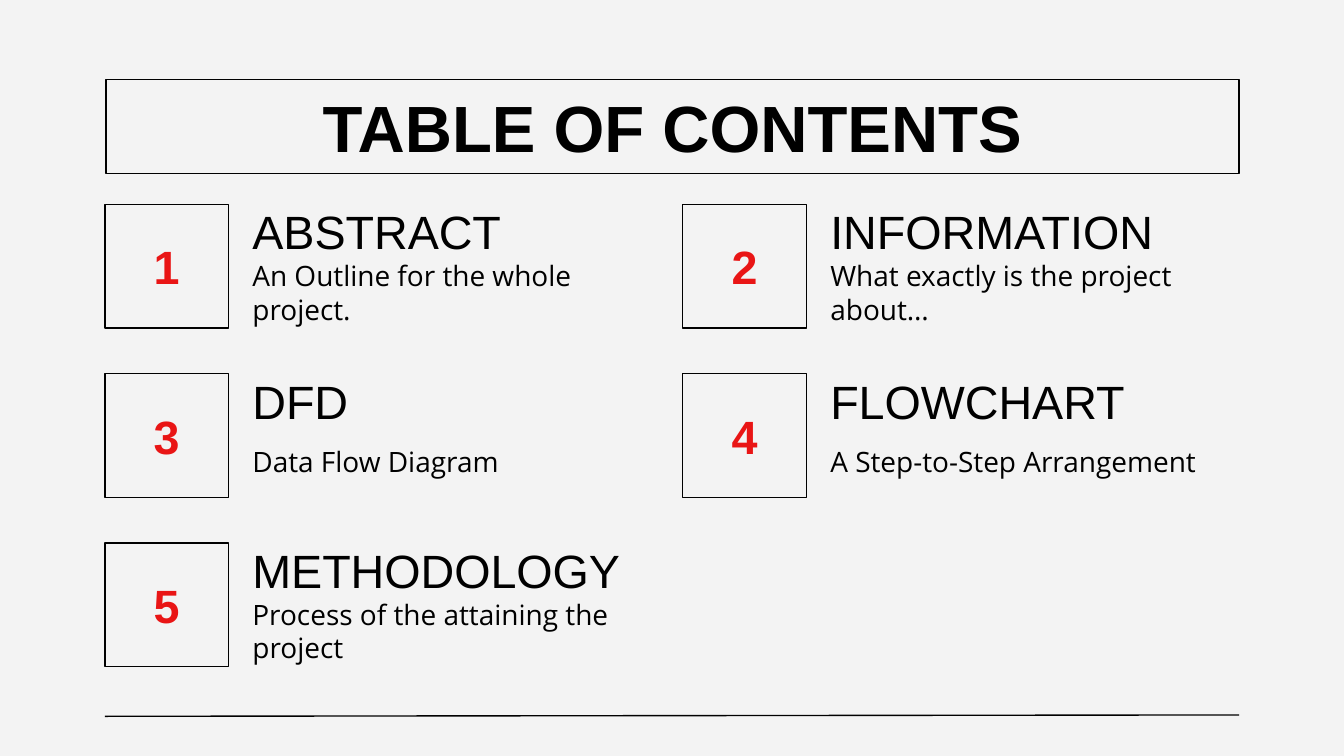
from pptx import Presentation
from pptx.dml.color import RGBColor
from pptx.enum.shapes import MSO_CONNECTOR, MSO_SHAPE
from pptx.enum.text import MSO_ANCHOR, PP_ALIGN
from pptx.oxml.ns import qn
from pptx.util import Inches, Pt
from lxml import etree

RECTANGLE = MSO_SHAPE.RECTANGLE
STRAIGHT = MSO_CONNECTOR.STRAIGHT
MIDDLE = MSO_ANCHOR.MIDDLE
LEFT, CENTER = PP_ALIGN.LEFT, PP_ALIGN.CENTER

BACKGROUND, BLACK, RED = "F3F3F3", "000000", "E91515"
HEADING_FONT, BODY_FONT = "Arial", "Open Sans"

TITLE = "TABLE OF CONTENTS"
SECTIONS = [
    ("ABSTRACT", "An Outline for the whole project."),
    ("INFORMATION", "What exactly is the project about…"),
    ("DFD", "Data Flow Diagram"),
    ("FLOWCHART", "A Step-to-Step Arrangement"),
    ("METHODOLOGY", "Process of the attaining the project"),
]

SLIDE_WIDTH = 10
SLIDE_HEIGHT = SLIDE_WIDTH * 9 / 16
COLUMNS = 2
GRID_LEFT, GRID_TOP = 0.78, 1.52
COLUMN_STEP, ROW_STEP = 4.3, 1.26
NUMBER_SIZE = 0.92
TEXT_OFFSET, TEXT_WIDTH = 1.0, 3.14
HEADING_HEIGHT, DESCRIPTION_OFFSET, DESCRIPTION_HEIGHT = 0.4, 0.39, 0.53


def color(value):
    return RGBColor.from_string(value)


def write_text(shape, text, size, font_name=HEADING_FONT, font_color=BLACK,
               bold=False, alignment=LEFT):
    frame = shape.text_frame
    frame.word_wrap = True
    frame.vertical_anchor = MIDDLE
    frame.margin_left = frame.margin_right = Inches(0.1)
    frame.margin_top = frame.margin_bottom = Inches(0.1)
    paragraph = frame.paragraphs[0]
    paragraph.alignment = alignment
    run = paragraph.add_run()
    run.text = text
    run.font.name = font_name
    run.font.size = Pt(size)
    run.font.bold = bold
    run.font.color.rgb = color(font_color)


def set_line(line):
    line.color.rgb = color(BLACK)
    line.width = Pt(0.75)


def add_frame(slide, box, text, size, font_color):
    """Add an outlined rectangle with bold centred text."""
    shape = slide.shapes.add_shape(RECTANGLE, *map(Inches, box))
    shape.shadow.inherit = False
    shape.fill.background()
    set_line(shape.line)
    write_text(shape, text, size, font_color=font_color, bold=True, alignment=CENTER)


def add_section(slide, index, heading, description):
    row, column = divmod(index, COLUMNS)
    left = GRID_LEFT + column * COLUMN_STEP
    top = GRID_TOP + row * ROW_STEP
    add_frame(slide, (left, top, NUMBER_SIZE, NUMBER_SIZE), str(index + 1), 25, RED)

    text_left = left + TEXT_OFFSET
    heading_box = slide.shapes.add_textbox(
        *map(Inches, (text_left, top, TEXT_WIDTH, HEADING_HEIGHT)))
    write_text(heading_box, heading, 25)
    description_box = slide.shapes.add_textbox(
        *map(Inches, (text_left, top + DESCRIPTION_OFFSET, TEXT_WIDTH, DESCRIPTION_HEIGHT)))
    write_text(description_box, description, 15, BODY_FONT)


def main():
    presentation = Presentation()
    presentation.slide_width = Inches(SLIDE_WIDTH)
    presentation.slide_height = Inches(SLIDE_HEIGHT)
    slide = presentation.slides.add_slide(presentation.slide_layouts[6])
    slide.background.fill.solid()
    slide.background.fill.fore_color.rgb = color(BACKGROUND)

    footer_line = slide.shapes.add_connector(
        STRAIGHT, *map(Inches, (0.78, 5.33, 9.22, 5.32)))
    set_line(footer_line.line)
    etree.SubElement(footer_line._element.spPr, qn("a:effectLst"))

    add_frame(slide, (0.79, 0.59, 8.43, 0.7), TITLE, 35, BLACK)
    for index, (heading, description) in enumerate(SECTIONS):
        add_section(slide, index, heading, description)

    presentation.save("out.pptx")


if __name__ == "__main__":
    main()
